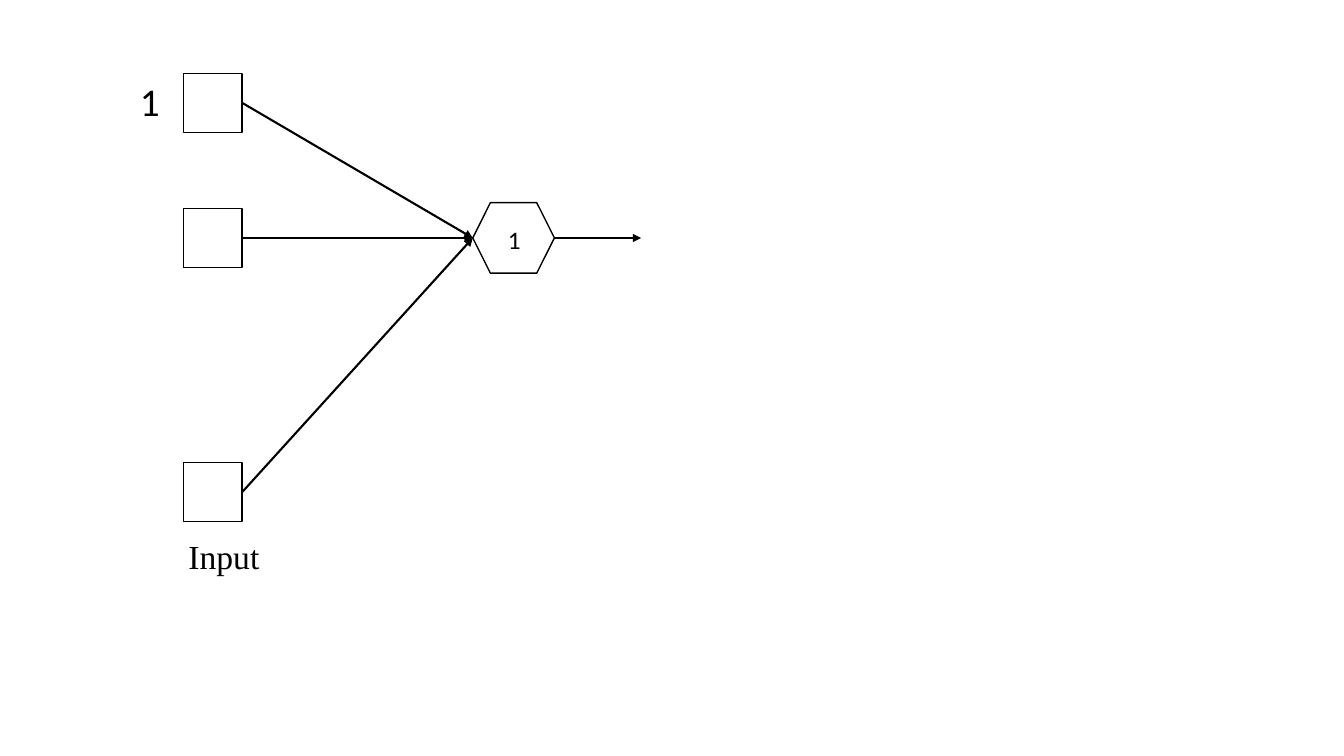
from lxml.etree import SubElement
from pptx import Presentation
from pptx.dml.color import RGBColor
from pptx.enum.shapes import MSO_CONNECTOR, MSO_SHAPE
from pptx.enum.text import MSO_AUTO_SIZE
from pptx.oxml.ns import qn
from pptx.util import Pt

# Lengths in points
INPUT_TOPS = [52.5, 149, 330.5]
INPUT_LEFT, INPUT_SIZE = 131, 42
NEURON = (337.7, 144.8, 58.3, 50.4)
OUTPUT_LENGTH = 62
# text, left, top, width, height, theme key, wraps
LABELS = [
    ("1", 355.7, 157, 23.8, 29, "neuron", False),
    ("Input", 127.5, 379.5, 71.3, 36, "caption", True),
    ("1", 92.9, 52, 49.7, 41, "bias", True),
]
THEME = {
    "ink": RGBColor(0, 0, 0),
    "outline": Pt(1),
    "arrow": Pt(1.5),
    "neuron": ("Calibri", Pt(18)),
    "caption": ("Times New Roman", Pt(24)),
    "bias": ("Calibri", Pt(28)),
}


def add_outline(s, preset, *box):
    sp = s.shapes.add_shape(preset, *map(Pt, box))
    sp.shadow.inherit = False
    sp.fill.background()
    sp.line.color.rgb = THEME["ink"]
    sp.line.width = THEME["outline"]
    return sp


def add_arrow(s, x1, y1, x2, y2):
    cx = s.shapes.add_connector(MSO_CONNECTOR.STRAIGHT, *map(Pt, (x1, y1, x2, y2)))
    cx.line.color.rgb = THEME["ink"]
    cx.line.width = THEME["arrow"]
    SubElement(cx.line._get_or_add_ln(), qn("a:tailEnd"), type="triangle")
    SubElement(cx._element.spPr, qn("a:effectLst"))
    return cx


def add_label(s, text, left, top, width, height, style, wraps):
    tf = s.shapes.add_textbox(*map(Pt, (left, top, width, height))).text_frame
    tf.word_wrap = wraps
    tf.auto_size = MSO_AUTO_SIZE.SHAPE_TO_FIT_TEXT
    p = tf.paragraphs[0]
    p.text = text
    p.font.name, p.font.size = THEME[style]
    p.font.color.rgb = THEME["ink"]


def main():
    prs = Presentation()
    prs.slide_width, prs.slide_height = Pt(960), Pt(540)
    s = prs.slides.add_slide(prs.slide_layouts[6])

    left, top, width, height = NEURON
    right, middle = left + width, top + height / 2
    add_outline(s, MSO_SHAPE.HEXAGON, *NEURON)
    for input_top in INPUT_TOPS:
        square = add_outline(s, MSO_SHAPE.RECTANGLE,
                             INPUT_LEFT, input_top, INPUT_SIZE, INPUT_SIZE)
        arrow = add_arrow(s, INPUT_LEFT + INPUT_SIZE, input_top + INPUT_SIZE / 2,
                          left, middle)
        arrow.begin_connect(square, 3)
    add_arrow(s, right, middle, right + OUTPUT_LENGTH, middle)

    for label in LABELS:
        add_label(s, *label)
    prs.save("out.pptx")


if __name__ == "__main__":
    main()
